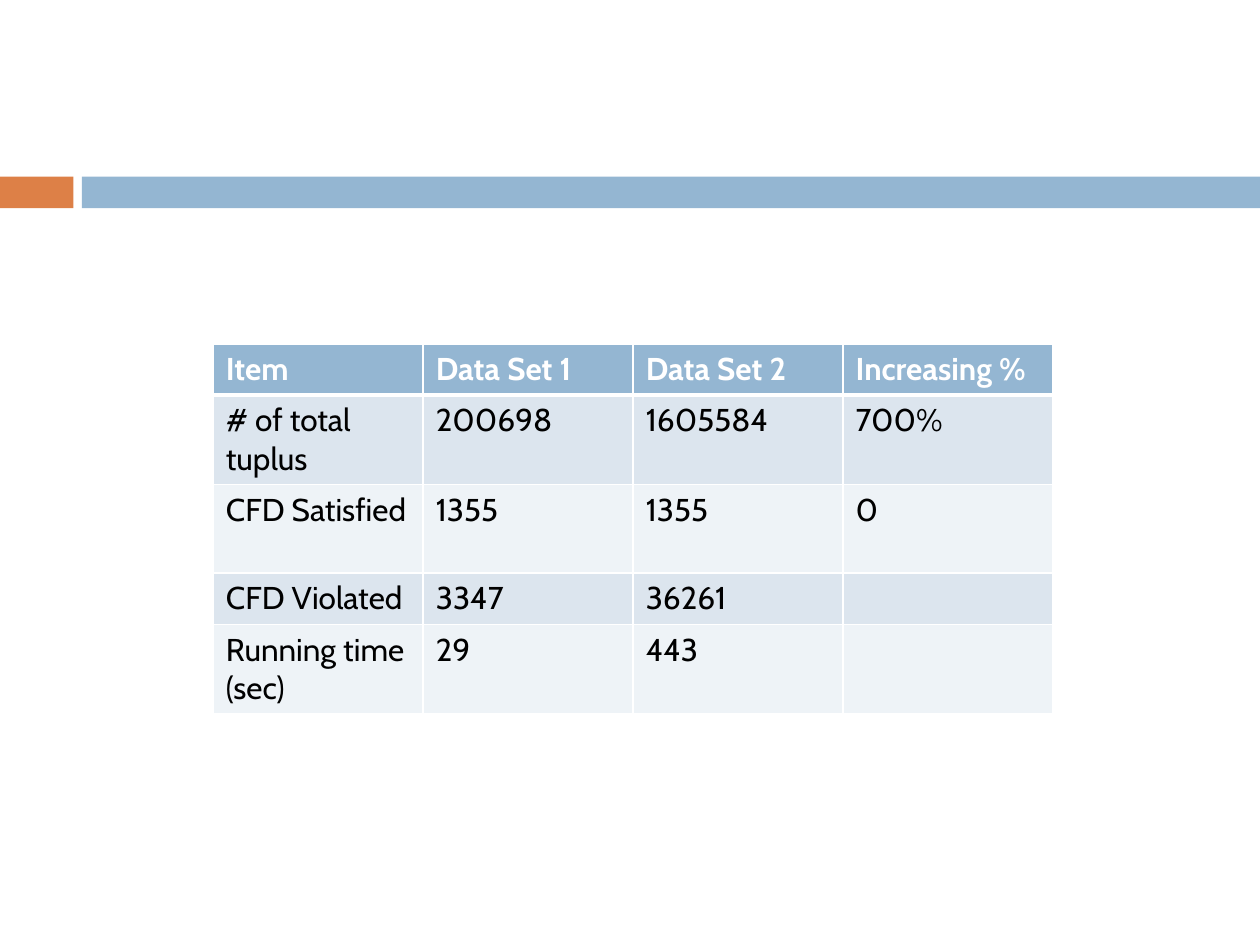
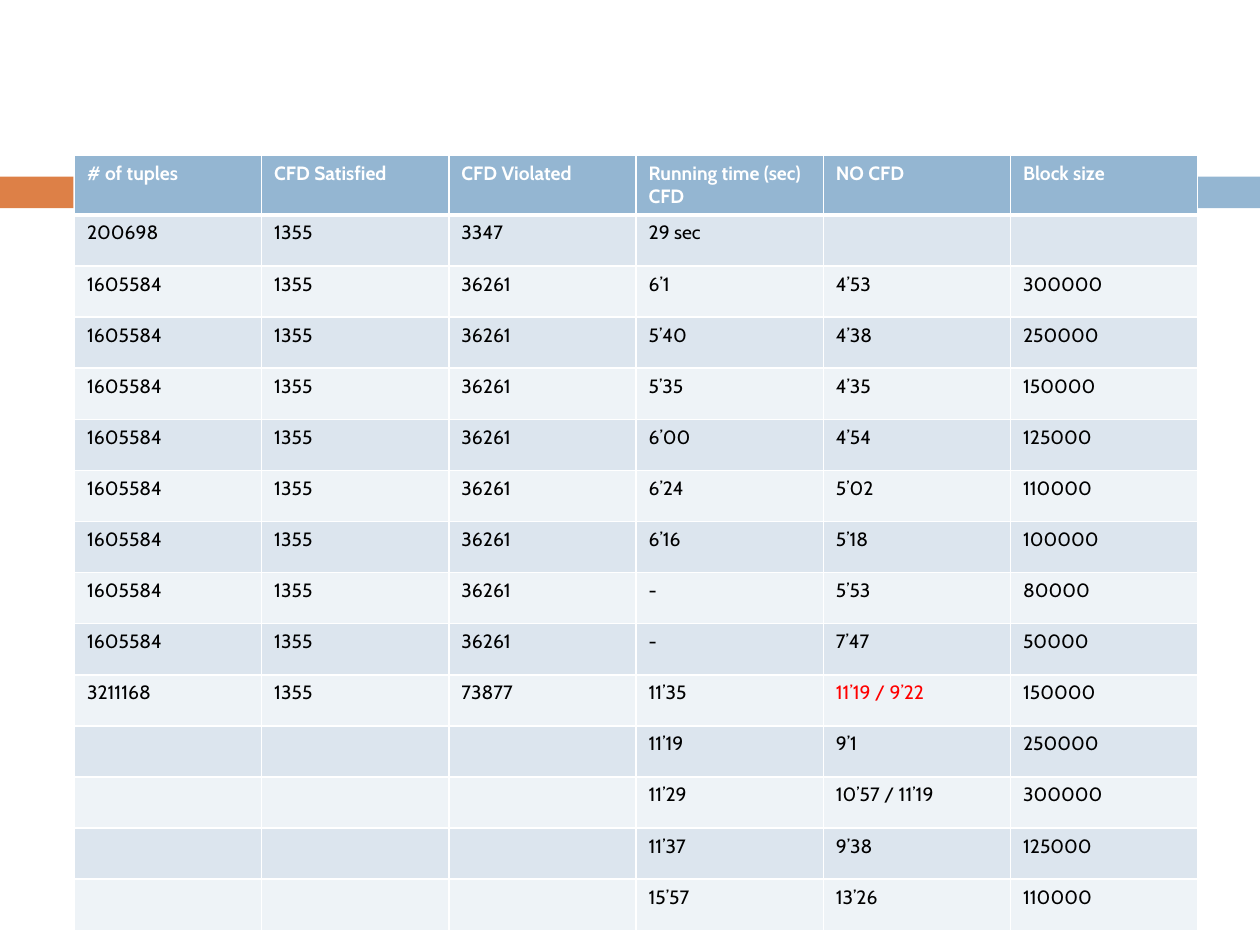
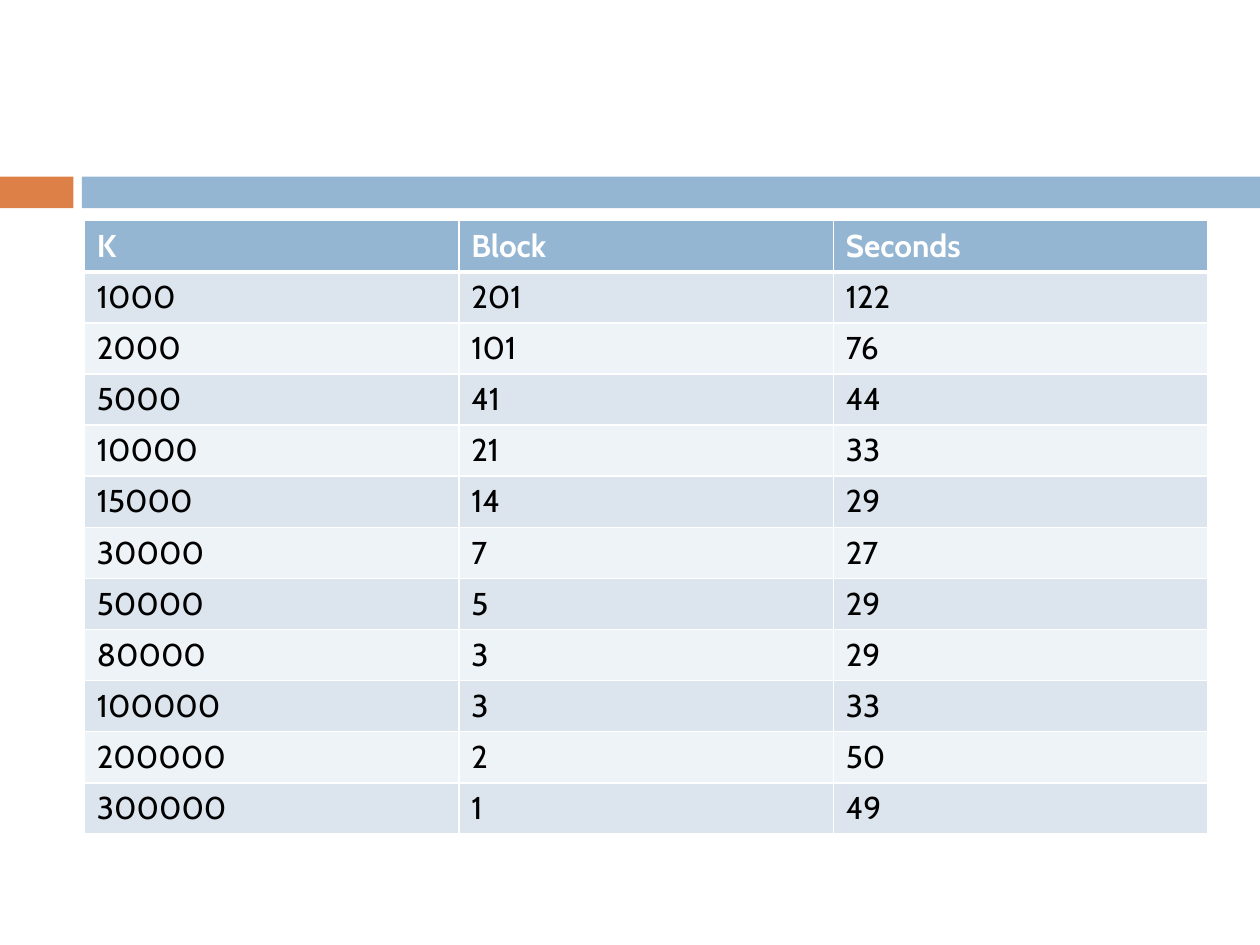
from pptx import Presentation
from pptx.dml.color import RGBColor
from pptx.enum.shapes import MSO_SHAPE
from pptx.oxml.ns import qn
from pptx.util import Cm, Pt
from lxml.etree import SubElement

FONT = "Cabin"
WHITE, BLACK, RED = "FFFFFF", "000000", "FF0000"
ORANGE, BLUE = "DD8047", "94B6D2"
STRIPES = ["EEF3F7", "DCE5EE"]  # even and odd rows
ROW, TALL = 1.03, 1.79  # heights of one-line and two-line rows

# Bands shared by all slides: left, width, colour
BANDS = [(0, 1.48, ORANGE), (1.65, 23.75, BLUE)]


def rgb(color):
    return RGBColor.from_string(color)


def border(cell, side, width):
    ln = SubElement(cell._tc.get_or_add_tcPr(), qn("a:ln" + side), w=str(Pt(width)))
    fill = SubElement(ln, qn("a:solidFill"))
    SubElement(fill, qn("a:srgbClr"), val=WHITE)


# Comparison of the two data sets
data_sets = [
    ["Item", "Data Set 1", "Data Set 2", "Increasing %"],
    ["# of total tuplus", "200698", "1605584", "700%"],
    ["CFD Satisfied", "1355", "1355", "0"],
    ["CFD Violated", "3347", "36261", ""],
    ["Running time (sec)", "29", "443", ""],
]

# Running times with and without CFD, by block size
large = ["1605584", "1355", "36261"]
blank = [""] * 3
run_times = [
    ["# of tuples", "CFD Satisfied", "CFD Violated",
     "Running time (sec) CFD", "NO CFD", "Block size"],
    ["200698", "1355", "3347", "29 sec", "", ""],
    large + ["6’1", "4’53", "300000"],
    large + ["5’40", "4’38", "250000"],
    large + ["5’35", "4’35", "150000"],
    large + ["6’00", "4’54", "125000"],
    large + ["6’24", "5’02", "110000"],
    large + ["6’16", "5’18", "100000"],
    large + ["-", "5’53", "80000"],
    large + ["-", "7’47", "50000"],
    ["3211168", "1355", "73877", "11’35", "11’19 / 9’22", "150000"],
    blank + ["11’19", "9’1", "250000"],
    blank + ["11’29", "10’57 / 11’19", "300000"],
    blank + ["11’37", "9’38", "125000"],
    blank + ["15’57", "13’26", "110000"],
]

# Seconds needed for each K
block_times = [
    ["K", "Block", "Seconds"],
    ["1000", "201", "122"],
    ["2000", "101", "76"],
    ["5000", "41", "44"],
    ["10000", "21", "33"],
    ["15000", "14", "29"],
    ["30000", "7", "27"],
    ["50000", "5", "29"],
    ["80000", "3", "29"],
    ["100000", "3", "33"],
    ["200000", "2", "50"],
    ["300000", "1", "49"],
]

# One entry per slide: rows, left, top, width, text size,
# rows with their own height, cells with their own colour
slides = [
    (data_sets, 4.3, 6.93, 16.93, 18, {1: TALL, 2: TALL, 4: TALL}, {}),
    (run_times, 1.5, 3.13, 22.65, 11, {0: 1.18}, {(10, 4): RED}),
    (block_times, 1.7, 4.45, 22.65, 18, {}, {}),
]

prs = Presentation()
prs.slide_width, prs.slide_height = Cm(25.4), Cm(19.05)

for rows, left, top, width, size, heights, accents in slides:
    s = prs.slides.add_slide(prs.slide_layouts[6])

    # Bands
    for band_left, band_width, color in BANDS:
        sp = s.shapes.add_shape(MSO_SHAPE.RECTANGLE, Cm(band_left), Cm(3.56),
                                Cm(band_width), Cm(0.64))
        sp.shadow.inherit = False
        sp.fill.solid()
        sp.fill.fore_color.rgb = rgb(color)
        sp.line.fill.background()

    # Table grid
    row_heights = [heights.get(i, ROW) for i in range(len(rows))]
    tbl = s.shapes.add_table(len(rows), len(rows[0]), Cm(left), Cm(top),
                             Cm(width), Cm(sum(row_heights))).table
    for row, height in zip(tbl.rows, row_heights):
        row.height = Cm(height)

    # Cells
    for i, row in enumerate(rows):
        header = i == 0
        for j, text in enumerate(row):
            cell = tbl.cell(i, j)
            border(cell, "L", 1)
            border(cell, "R", 1)
            border(cell, "T", 3 if i == 1 else 1)
            border(cell, "B", 3 if header else 1)
            cell.fill.solid()
            cell.fill.fore_color.rgb = rgb(BLUE if header else STRIPES[i % 2])
            if text:
                r = cell.text_frame.paragraphs[0].add_run()
                r.text = text
                r.font.name = FONT
                r.font.size = Pt(size)
                r.font.bold = header
                r.font.color.rgb = rgb(WHITE if header else accents.get((i, j), BLACK))

prs.save("out.pptx")
